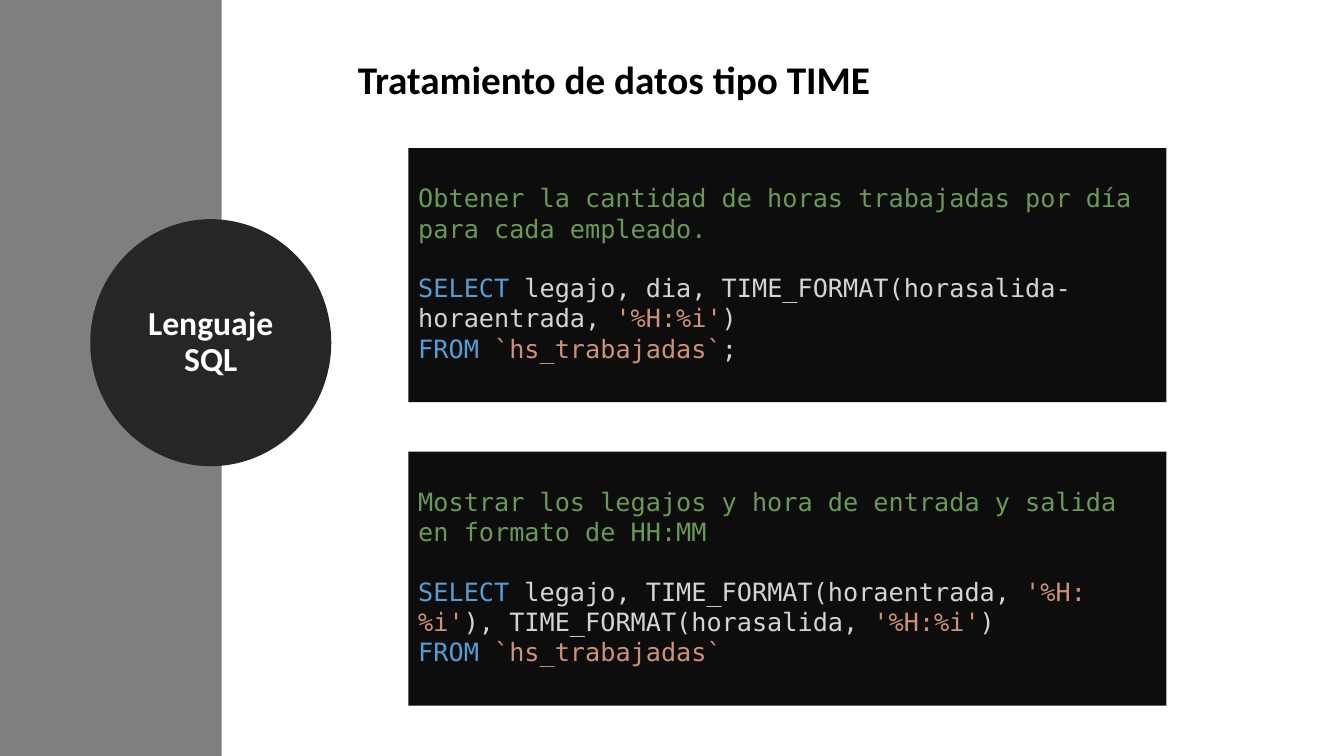
from dataclasses import dataclass

from pptx import Presentation
from pptx.dml.color import RGBColor
from pptx.enum.shapes import MSO_SHAPE as Shape
from pptx.enum.text import MSO_ANCHOR as Anchor, PP_ALIGN as Align
from pptx.util import Inches, Pt

SLIDE_WIDTH, SLIDE_HEIGHT = Inches(13.33), Inches(7.5)
COLUMN, ROW = SLIDE_WIDTH / 100, SLIDE_HEIGHT / 100  # 100 by 100 grid

BLACK = RGBColor(0x00, 0x00, 0x00)
WHITE = RGBColor(0xFF, 0xFF, 0xFF)
GRAY = RGBColor(0x7F, 0x7F, 0x7F)
CHARCOAL = RGBColor(0x26, 0x26, 0x26)
PANEL = RGBColor(0x0D, 0x0D, 0x0D)
COMMENT = RGBColor(0x6A, 0x99, 0x55)
KEYWORD = RGBColor(0x56, 0x9C, 0xD6)
PLAIN = RGBColor(0xD4, 0xD4, 0xD4)
STRING = RGBColor(0xCE, 0x91, 0x78)

HEADING_FONT, CODE_FONT = "Calibri", "DejaVu Sans Mono"
CODE_LINE = Pt(21)


@dataclass(frozen=True)
class Area:
    """Place on the grid, in columns and rows."""
    left: float
    top: float
    width: float
    height: float

    def box(self) -> tuple[int, int, int, int]:
        return (round(self.left * COLUMN), round(self.top * ROW),
                round(self.width * COLUMN), round(self.height * ROW))


@dataclass(frozen=True)
class Span:
    text: str
    color: RGBColor


@dataclass(frozen=True)
class Query:
    top: float
    task: str
    select: tuple[Span, ...]
    source: tuple[Span, ...]


TIME_MASK = Span("'%H:%i'", STRING)
SELECT = Span("SELECT", KEYWORD)
FROM_TABLE = (Span("FROM ", KEYWORD), Span("`hs_trabajadas`", STRING))

QUERIES = (
    Query(19.6,
          "Obtener la cantidad de horas trabajadas por día para cada empleado.",
          (SELECT,
           Span(" legajo, dia, TIME_FORMAT(horasalida-horaentrada, ", PLAIN),
           TIME_MASK, Span(")", PLAIN)),
          FROM_TABLE + (Span(";", PLAIN),)),
    Query(59.73,
          "Mostrar los legajos y hora de entrada y salida en formato de HH:MM",
          (SELECT, Span(" legajo, TIME_FORMAT(horaentrada, ", PLAIN),
           TIME_MASK, Span("), TIME_FORMAT(horasalida, ", PLAIN),
           TIME_MASK, Span(")", PLAIN)),
          FROM_TABLE),
)


def add_block(page, kind: Shape, area: Area, color: RGBColor):
    block = page.shapes.add_shape(kind, *area.box())
    block.shadow.inherit = False
    block.fill.solid()
    block.fill.fore_color.rgb = color
    block.line.fill.background()
    return block


def add_span(para, span: Span, font: str, size: float, bold: bool = False) -> None:
    run = para.add_run()
    run.text = span.text
    run.font.name = font
    run.font.size = Pt(size)
    run.font.bold = bold
    run.font.color.rgb = span.color


def add_query(page, query: Query) -> None:
    panel = add_block(page, Shape.RECTANGLE, Area(30.38, query.top, 56.41, 33.6), PANEL)
    frame = panel.text_frame
    frame.word_wrap = True
    frame.vertical_anchor = Anchor.TOP
    frame.margin_top = Inches(0.05) + CODE_LINE
    lines = ((Span(query.task, COMMENT),), query.select, query.source)
    for index, spans in enumerate(lines):
        para = frame.add_paragraph() if index else frame.paragraphs[0]
        para.alignment = Align.LEFT
        if spans is query.select:
            para.space_before = CODE_LINE
        for span in spans:
            add_span(para, span, CODE_FONT, 18)


def add_title(page) -> None:
    box = page.shapes.add_textbox(*Area(25.88, 6.67, 40.36, 7.6).box())
    box.text_frame.word_wrap = True
    add_span(box.text_frame.paragraphs[0],
             Span("Tratamiento de datos tipo TIME", BLACK), HEADING_FONT, 28, True)


def add_badge(page) -> None:
    badge = add_block(page, Shape.OVAL, Area(7.43, 30.27, 16.5, 30.13), CHARCOAL)
    badge.line.color.rgb = CHARCOAL
    badge.line.width = Pt(13.75)
    frame = badge.text_frame
    frame.word_wrap = True
    frame.vertical_anchor = Anchor.MIDDLE
    para = frame.paragraphs[0]
    para.alignment = Align.CENTER
    para.line_spacing = 0.9
    add_span(para, Span("Lenguaje SQL", WHITE), HEADING_FONT, 24, True)


def main() -> None:
    deck = Presentation()
    deck.slide_width, deck.slide_height = SLIDE_WIDTH, SLIDE_HEIGHT
    page = deck.slides.add_slide(deck.slide_layouts[6])

    # Code panels, lowest at the back
    for query in reversed(QUERIES):
        add_query(page, query)

    # Heading
    add_title(page)

    # Side band and topic badge
    add_block(page, Shape.RECTANGLE, Area(0, 0, 16.5, 100), GRAY)
    add_badge(page)

    deck.save("out.pptx")


if __name__ == "__main__":
    main()
